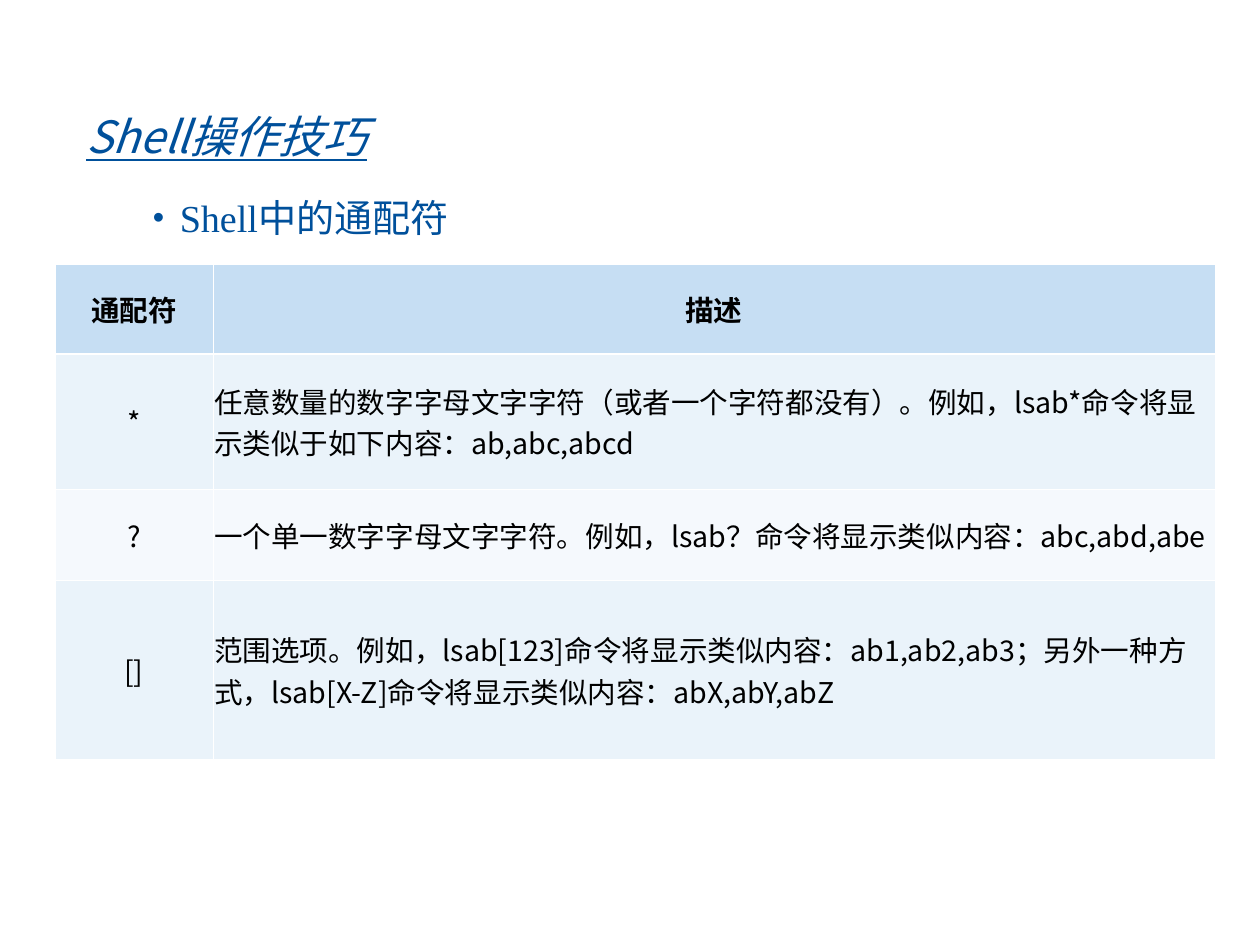
from lxml import etree
from pptx import Presentation
from pptx import util as u
from pptx.dml.color import RGBColor
from pptx.enum import text
from pptx.oxml.ns import qn

COLORS = {
    "heading": "00509B",
    "ink": "000000",
    "header": "C6DEF3",
    "odd": "EAF3FA",
    "even": "F5F9FD",
    "border": "FFFFFF",
}
SANS, SERIF = "Noto Sans CJK SC", "Times New Roman"
LEFT, WIDTH = 34.56, 730.8
COLUMN_WIDTHS = (99.6, 631.2)
ROW_HEIGHTS = (56.7, 84.96, 57.6, 113.04)
THIN, THICK = 0.45, 1.47
ROWS = (
    ("通配符", "描述"),
    ("*", "任意数量的数字字母文字字符（或者一个字符都没有）。例如，lsab*命令将显示类似于如下内容：ab,abc,abcd"),
    ("?", "一个单一数字字母文字字符。例如，lsab？命令将显示类似内容：abc,abd,abe"),
    ("[]", "范围选项。例如，lsab[123]命令将显示类似内容：ab1,ab2,ab3；另外一种方式，"
           "lsab[X-Z]命令将显示类似内容：abX,abY,abZ"),
)


def set_values(target, values):
    for name, value in values.items():
        setattr(target, name, value)


def add_span(para, words, color, **font_values):
    """Add a run whose East Asian characters are set in the sans font."""
    span = para.add_run()
    span.text = words
    set_values(span.font, font_values)
    span.font.color.rgb = RGBColor.from_string(COLORS[color])
    east_asian = etree.SubElement(span.font._element, qn("a:ea"))
    east_asian.set("typeface", SANS)


def place_text(holder, box, inset):
    """Move a placeholder to its box and return its first paragraph."""
    for name, value in zip(("left", "top", "width", "height"), box):
        setattr(holder, name, u.Pt(value))
    frame = holder.text_frame
    set_values(frame, {
        "margin_left": u.Pt(inset), "margin_right": u.Pt(7.2),
        "margin_top": 0, "margin_bottom": 0, "word_wrap": True,
        "auto_size": text.MSO_AUTO_SIZE.NONE,
        "vertical_anchor": text.MSO_ANCHOR.TOP,
    })
    para = frame.paragraphs[0]
    set_values(para, {"alignment": text.PP_ALIGN.LEFT, "line_spacing": 1.0,
                      "space_before": u.Pt(0)})
    return para


def fill_title(holder, box):
    para = place_text(holder, box, 19.7)
    add_span(para, "Shell操作技巧", "heading", name=SANS, size=u.Pt(28),
             bold=False, italic=True, underline=True)


def fill_topic(holder, box):
    para = place_text(holder, box, 7.2)
    para.level = 1
    add_span(para, "Shell中的通配符", "heading", name=SERIF, size=u.Pt(24))
    layout = para._p.get_or_add_pPr()
    layout.set("marL", str(u.Pt(71.5)))
    layout.set("indent", str(u.Pt(-17)))
    bullet_color = etree.SubElement(layout, qn("a:buClr"))
    etree.SubElement(bullet_color, qn("a:srgbClr"), val=COLORS["heading"])
    etree.SubElement(layout, qn("a:buSzPct"), val="85000")
    etree.SubElement(layout, qn("a:buFont"), typeface="Arial")
    etree.SubElement(layout, qn("a:buChar"), char="•")


def set_borders(cell, widths):
    """Draw the left, right, top and bottom borders, in that order."""
    properties = cell._tc.get_or_add_tcPr()
    for index, (side, width) in enumerate(zip("LRTB", widths)):
        line = etree.Element(qn(f"a:ln{side}"), w=str(u.Pt(width)))
        fill = etree.SubElement(line, qn("a:solidFill"))
        etree.SubElement(fill, qn("a:srgbClr"), val=COLORS["border"])
        properties.insert(index, line)


def fill_cell(cell, words, row, column):
    is_header = row == 0
    set_values(cell, {
        "margin_left": u.Pt(0.72), "margin_right": u.Pt(0.72),
        "margin_top": u.Pt(2.7), "margin_bottom": u.Pt(2.7),
        "vertical_anchor": text.MSO_ANCHOR.MIDDLE,
    })
    shade = "header" if is_header else "odd" if row % 2 else "even"
    cell.fill.solid()
    cell.fill.fore_color.rgb = RGBColor.from_string(COLORS[shade])
    set_borders(cell, (THIN, THIN, THICK if row == 1 else THIN,
                       THICK if is_header else THIN))
    para = cell.text_frame.paragraphs[0]
    centred = is_header or column == 0
    para.alignment = text.PP_ALIGN.CENTER if centred else text.PP_ALIGN.LEFT
    add_span(para, words, "ink", name=SANS, size=u.Pt(18), bold=is_header)


def add_wildcard_table(page, box):
    table = page.shapes.add_table(len(ROWS), len(COLUMN_WIDTHS),
                                  *map(u.Pt, box)).table
    for column, width in zip(table.columns, COLUMN_WIDTHS):
        column.width = u.Pt(width)
    for row, height in zip(table.rows, ROW_HEIGHTS):
        row.height = u.Pt(height)
    for row, entries in enumerate(ROWS):
        for column, words in enumerate(entries):
            fill_cell(table.cell(row, column), words, row, column)


def main():
    deck = Presentation()
    deck.slide_width, deck.slide_height = u.Pt(793.75), u.Pt(595.25)
    page = deck.slides.add_slide(deck.slide_layouts[1])
    fill_title(page.shapes.title, (LEFT, 68.4, WIDTH, 44))
    fill_topic(page.placeholders[1], (LEFT, 122.7, WIDTH, 36))
    add_wildcard_table(page, (LEFT, 166.32, WIDTH, sum(ROW_HEIGHTS)))
    deck.save("out.pptx")


if __name__ == "__main__":
    main()
